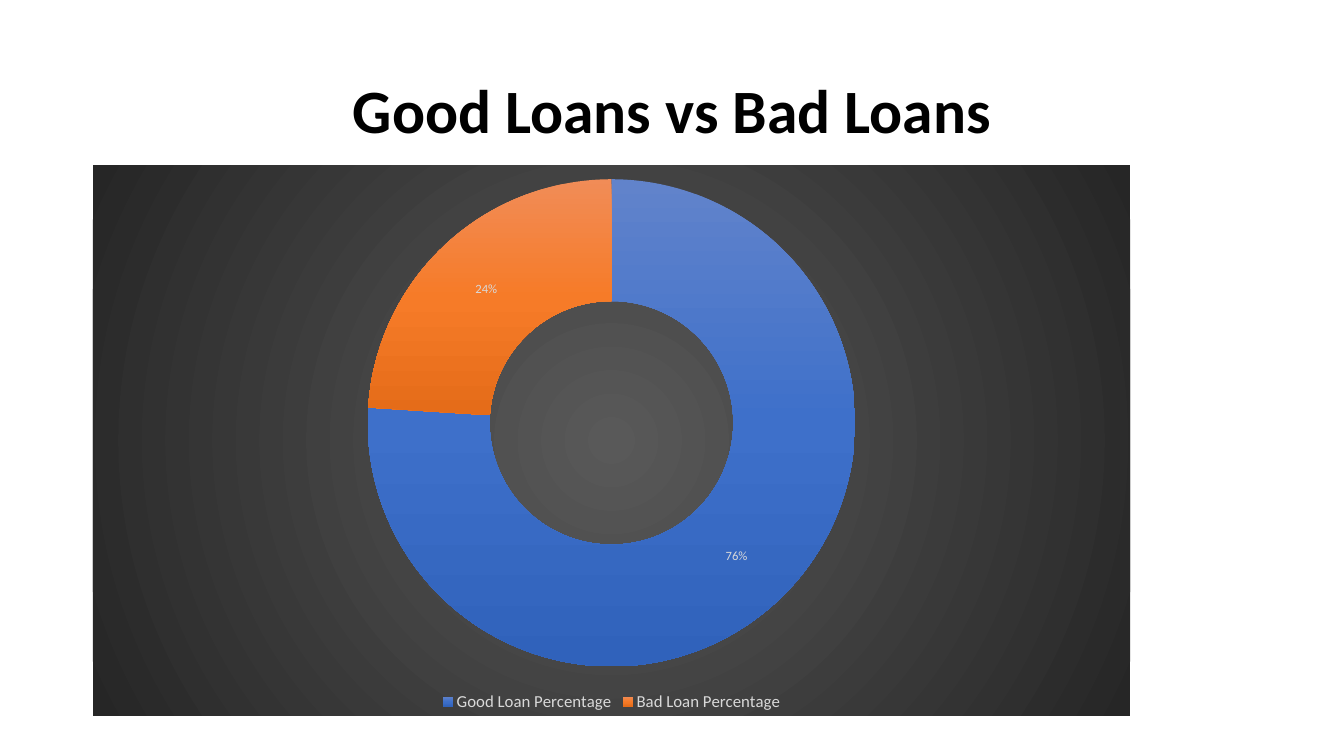
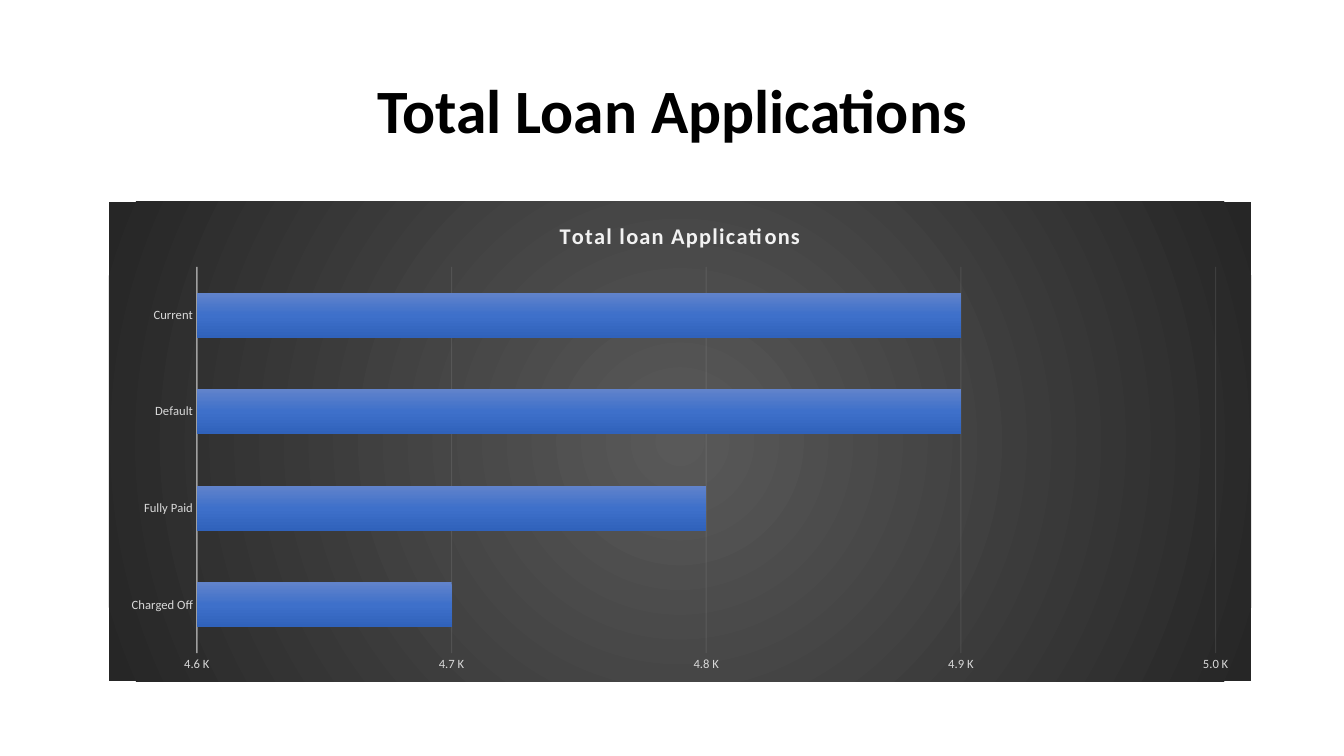
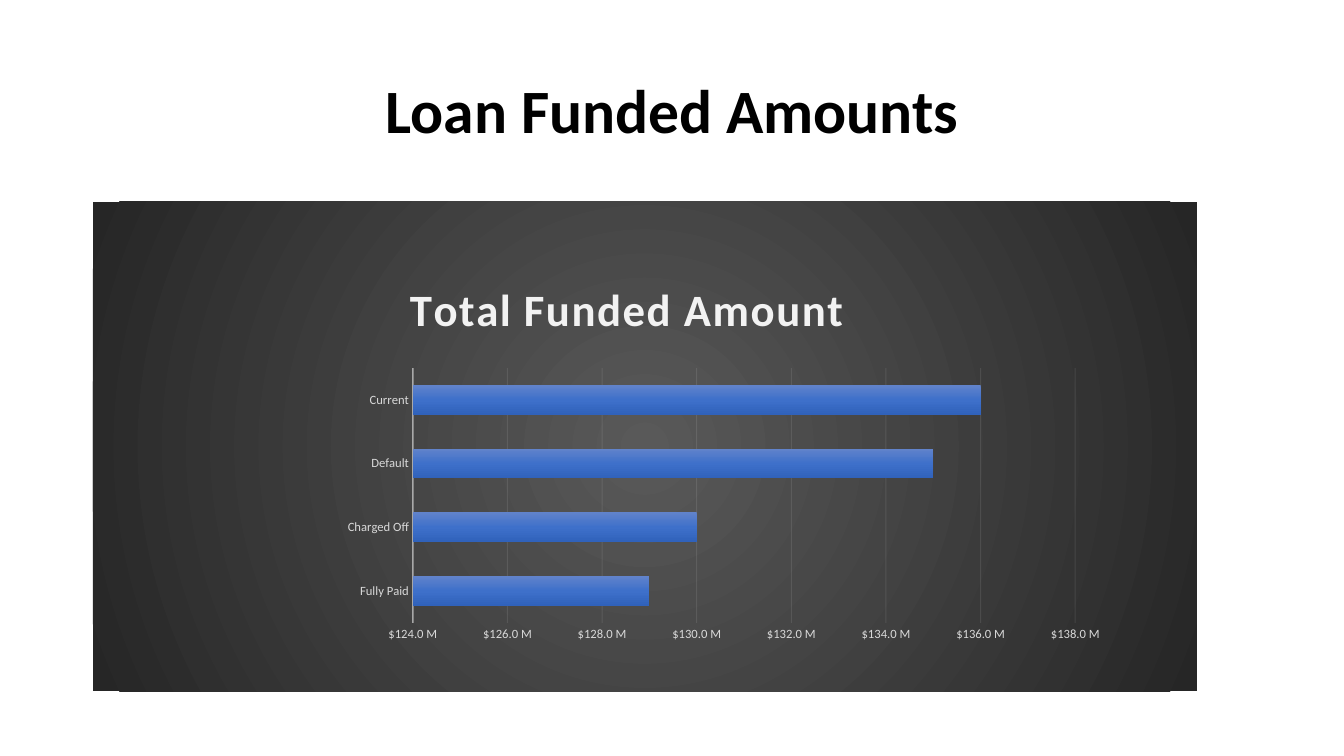
import pptx
import pptx.chart.data
import pptx.dml.color
import pptx.enum.chart
import pptx.enum.text
import pptx.oxml
import pptx.oxml.ns
import pptx.util

Inches = pptx.util.Inches
Pt = pptx.util.Pt
RGB = pptx.dml.color.RGBColor
KIND = pptx.enum.chart.XL_CHART_TYPE

# Shared look
FONT = "Calibri"
BLACK = RGB(0x00, 0x00, 0x00)
PALE = RGB(0xF2, 0xF2, 0xF2)
GREY = RGB(0xD9, 0xD9, 0xD9)
DARK = [RGB(0x59, 0x59, 0x59), RGB(0x26, 0x26, 0x26)]
BLUE = [RGB(0x61, 0x83, 0xCB), RGB(0x3E, 0x70, 0xCA), RGB(0x30, 0x62, 0xBB)]
ORANGE = [RGB(0xF1, 0x8C, 0x57), RGB(0xF6, 0x7B, 0x28), RGB(0xE5, 0x6C, 0x19)]
DOWN = '<a:lin ang="5400000" scaled="0"/>'
ROUND = ('<a:path path="circle"><a:fillToRect l="50000" t="50000" '
         'r="50000" b="50000"/></a:path>')


def build(tag, body):
    """Make an XML element with the drawing and chart namespaces."""
    names = pptx.oxml.ns.nsdecls("a", "c")
    return pptx.oxml.parse_xml(f"<{tag} {names}>{body}</{tag}>")


def blend(colors, way):
    """Make a gradient with evenly spaced stops."""
    step = 100000 // (len(colors) - 1)
    stops = "".join(f'<a:gs pos="{i * step}"><a:srgbClr val="{c}"/></a:gs>'
                    for i, c in enumerate(colors))
    return build("a:gradFill", f"<a:gsLst>{stops}</a:gsLst>{way}")


def paint(part, colors):
    """Fill a series or a point from top to bottom."""
    part.format.fill.background()
    old = part.format.fill._xPr.find(pptx.oxml.ns.qn("a:noFill"))
    old.getparent().replace(old, blend(colors, DOWN))


def style(font, size, color, bold=False):
    font.name, font.size, font.bold = FONT, Pt(size), bold
    font.color.rgb = color


def place(node, index, spots, inner=False):
    """Set the layout of a chart part in fractions of the chart."""
    for old in node.xpath("c:layout"):
        node.remove(old)
    body = '<c:layoutTarget val="inner"/>' if inner else ""
    body += '<c:xMode val="edge"/><c:yMode val="edge"/>'
    body += "".join(f'<c:{key} val="{val}"/>' for key, val in zip("xywh", spots))
    node.insert(index, build("c:layout", f"<c:manualLayout>{body}</c:manualLayout>"))


def add_page(deck, text):
    """Add a slide with its heading."""
    page = deck.slides.add_slide(deck.slide_layouts[6])
    box = page.shapes.add_textbox(Inches(0.92), Inches(0.4), Inches(11.5), Inches(1.45))
    frame = box.text_frame
    frame.word_wrap = True
    frame.vertical_anchor = pptx.enum.text.MSO_ANCHOR.MIDDLE
    frame.text = text
    para = frame.paragraphs[0]
    para.alignment = pptx.enum.text.PP_ALIGN.CENTER
    para.line_spacing = 0.9
    style(para.runs[0].font, 44, BLACK, True)
    return page


def add_chart(page, kind, area, cats, vals):
    """Add a chart on the dark round gradient."""
    data = pptx.chart.data.CategoryChartData()
    data.categories = cats
    data.add_series("Series 1", vals)
    chart = page.shapes.add_chart(kind, *map(Inches, area), data).chart
    style(chart.font, 10, BLACK)
    chart.has_title = chart.has_legend = False
    back = build("c:spPr", "<a:ln><a:noFill/></a:ln>")
    back.insert(0, blend(DARK, ROUND))
    chart._chartSpace.xpath("c:txPr")[0].addprevious(back)
    return chart


def add_ring(page, area, cats, vals, fills):
    chart = add_chart(page, KIND.DOUGHNUT, area, cats, vals)
    chart._chartSpace.xpath("//c:holeSize")[0].set("val", "75")
    ring = chart.plots[0]
    for i, colors in enumerate(fills):
        paint(ring.series[0].points[i], colors)
    # Share labels
    ring.has_data_labels = True
    tags = ring.data_labels
    tags.show_value, tags.show_percentage = False, True
    tags.number_format, tags.number_format_is_linked = "0%", False
    style(tags.font, 9, GREY)
    # Legend
    chart.has_legend = True
    chart.legend.position = pptx.enum.chart.XL_LEGEND_POSITION.BOTTOM
    chart.legend.include_in_layout = False
    style(chart.legend.font, 12, GREY)


def rule(line, nodes, width, alpha):
    """Style an axis line or grid line, partly see-through."""
    line.width = Pt(width)
    line.color.rgb = PALE
    for node in nodes():
        node.append(build("a:alpha", ""))
        node[-1].set("val", str(alpha * 1000))


def add_bars(page, area, cats, vals, head, size, scale, form):
    chart = add_chart(page, KIND.BAR_CLUSTERED, area, cats, vals)
    bars = chart.plots[0]
    bars.gap_width, bars.overlap, bars.vary_by_categories = 115, -20, False
    paint(bars.series[0], BLUE)
    # Chart title
    chart.has_title = True
    title = chart.chart_title
    title.include_in_layout = False
    title.text_frame.text = head
    run = title.text_frame.paragraphs[0].runs[0]
    style(run.font, size, PALE, True)
    run.font._element.set("spc", "100")
    # Axes
    cat, val = chart.category_axis, chart.value_axis
    for axis in (cat, val):
        axis.major_tick_mark = axis.minor_tick_mark = pptx.enum.chart.XL_TICK_MARK.NONE
        style(axis.tick_labels.font, 9, GREY)
    cat.has_major_gridlines = False
    rule(cat.format.line, lambda: cat._element.xpath("c:spPr/a:ln//a:srgbClr"), 1, 54)
    val.format.line.fill.background()
    val.has_major_gridlines = True
    rule(val.major_gridlines.format.line,
         lambda: val._element.xpath("c:majorGridlines//a:srgbClr"), 0.75, 10)
    val.minimum_scale, val.maximum_scale, val.major_unit = scale
    val.tick_labels.number_format = form
    val.tick_labels.number_format_is_linked = False
    return chart


def main():
    deck = pptx.Presentation()
    deck.slide_width, deck.slide_height = Inches(13.33), Inches(7.5)

    # Loan quality
    page = add_page(deck, "Good Loans vs Bad Loans")
    add_ring(page, (0.92, 1.64, 10.29, 5.46),
             ["Good Loan Percentage", "Bad Loan Percentage"], [76, 24],
             [BLUE, ORANGE])

    # Applications
    page = add_page(deck, "Total Loan Applications")
    add_bars(page, (1.08, 2, 11.33, 4.76),
             ["Charged Off", "Fully Paid", "Default", "Current"],
             [4700, 4800, 4900, 4900],
             "Total loan Applications", 16, (4600, 5000, 100), '0.0,\\ "K"')

    # Funded amounts, with the plot and its title set lower
    page = add_page(deck, "Loan Funded Amounts")
    chart = add_bars(page, (0.92, 2, 10.95, 4.86),
                     ["Fully Paid", "Charged Off", "Default", "Current"],
                     [129e6, 130e6, 135e6, 136e6],
                     "Total Funded Amount", 32, (124e6, 138e6, 2e6),
                     '"$"0.0,,\\ "M"')
    place(chart.chart_title._element, 1, (0.28, 0.14))
    place(chart._chartSpace.xpath("c:chart/c:plotArea")[0], 0,
          (0.29, 0.34, 0.6, 0.52), True)

    deck.save("out.pptx")


if __name__ == "__main__":
    main()
